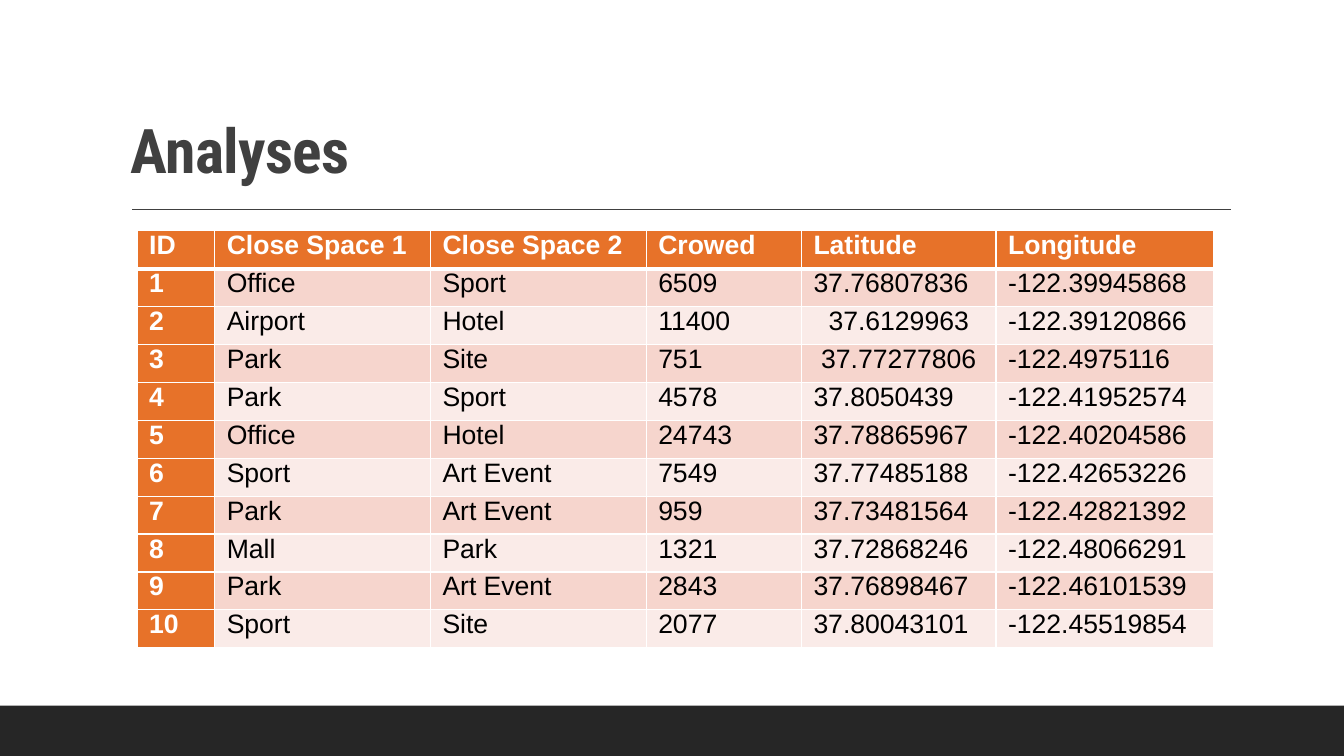
from lxml import etree
from pptx import Presentation
from pptx.dml.color import RGBColor
from pptx.enum.shapes import MSO_CONNECTOR, MSO_SHAPE
from pptx.enum.text import MSO_ANCHOR, PP_ALIGN
from pptx.oxml.ns import qn
from pptx.util import Inches, Pt

STRAIGHT = MSO_CONNECTOR.STRAIGHT
RECTANGLE = MSO_SHAPE.RECTANGLE
BOTTOM = MSO_ANCHOR.BOTTOM
LEFT, CENTER, JUSTIFY = PP_ALIGN.LEFT, PP_ALIGN.CENTER, PP_ALIGN.JUSTIFY

COLORS = {
    "white": "FFFFFF",
    "title": "404040",
    "footer": "262626",
    "accent": "E77229",
    "odd_row": "F6D5CD",
    "even_row": "FAEBE8",
    "body": "000000",
}
SLIDE_WIDTH, SLIDE_HEIGHT = 13.33, 7.5
COLUMN_WIDTHS = [0.77, 2.14, 2.14, 1.54, 1.93, 2.16]
CENTERED_LATITUDES = {"37.6129963", "37.77277806"}
ROWS = [
    ["ID", "Close Space 1", "Close Space 2", "Crowed", "Latitude", "Longitude"],
    ["1", "Office", "Sport", "6509", "37.76807836", "-122.39945868"],
    ["2", "Airport", "Hotel", "11400", "37.6129963", "-122.39120866"],
    ["3", "Park", "Site", "751", "37.77277806", "-122.4975116"],
    ["4", "Park", "Sport", "4578", "37.8050439", "-122.41952574"],
    ["5", "Office", "Hotel", "24743", "37.78865967", "-122.40204586"],
    ["6", "Sport", "Art Event", "7549", "37.77485188", "-122.42653226"],
    ["7", "Park", "Art Event", "959", "37.73481564", "-122.42821392"],
    ["8", "Mall", "Park", "1321", "37.72868246", "-122.48066291"],
    ["9", "Park", "Art Event", "2843", "37.76898467", "-122.46101539"],
    ["10", "Sport", "Site", "2077", "37.80043101", "-122.45519854"],
]


def color(name):
    return RGBColor.from_string(COLORS[name])


def write_text(frame, text, *, font, size, fill, bold=False, align=LEFT,
               line_spacing=None, tracking=None):
    """Fill the first paragraph of a text frame; tracking is in points."""
    para = frame.paragraphs[0]
    para.alignment = align
    para.line_spacing = line_spacing
    span = para.add_run()
    span.text = text
    span.font.name = font
    span.font.size = Pt(size)
    span.font.bold = bold
    span.font.color.rgb = color(fill)
    if tracking is not None:
        span.font._element.set("spc", str(round(tracking * 100)))


def add_title(page, left, top, width, height):
    """Place the heading at the foot of its box, with a rule below it."""
    box = page.shapes.add_textbox(
        Inches(left), Inches(top), Inches(width), Inches(height))
    frame = box.text_frame
    frame.word_wrap = True
    frame.vertical_anchor = BOTTOM
    write_text(frame, "Analyses", font="Roboto Condensed", size=44, fill="title",
               bold=True, line_spacing=0.9, tracking=-0.5)

    rule_left, rule_top = left + 0.11, top + height + 0.18
    rule = page.shapes.add_connector(
        STRAIGHT, Inches(rule_left), Inches(rule_top),
        Inches(rule_left + 10.9), Inches(rule_top))
    rule.line.color.rgb = color("title")
    rule.line.width = Pt(1)
    etree.SubElement(rule._element.spPr, qn("a:effectLst"))


def add_footer(page, left, top, width, height):
    band = page.shapes.add_shape(
        RECTANGLE, Inches(left), Inches(top), Inches(width), Inches(height))
    band.shadow.inherit = False
    band.fill.solid()
    band.fill.fore_color.rgb = color("footer")
    band.line.fill.background()


def set_borders(cell, widths):
    """Draw white borders; widths maps a side (L, R, T, B) to points."""
    properties = cell._tc.get_or_add_tcPr()
    for side, width in widths.items():
        line = etree.SubElement(properties, qn(f"a:ln{side}"), w=str(Pt(width)))
        solid = etree.SubElement(line, qn("a:solidFill"))
        etree.SubElement(solid, qn("a:srgbClr"), val=COLORS["white"])


def format_cell(cell, text, row, column):
    is_heading = row == 0 or column == 0
    set_borders(cell, {"L": 1, "R": 1, "T": 3 if row == 1 else 1,
                       "B": 3 if row == 0 else 1})
    cell.fill.solid()
    band = "odd_row" if row % 2 else "even_row"
    cell.fill.fore_color.rgb = color("accent" if is_heading else band)
    cell.margin_left = cell.margin_right = Inches(0.12)
    cell.margin_top = cell.margin_bottom = Inches(0)
    write_text(cell.text_frame, text, font="Arial", size=19, bold=is_heading,
               fill="white" if is_heading else "body",
               align=CENTER if text in CENTERED_LATITUDES else JUSTIFY)


def add_places_table(page, left, top, width, height):
    table = page.shapes.add_table(
        len(ROWS), len(COLUMN_WIDTHS),
        Inches(left), Inches(top), Inches(width), Inches(height)).table
    table.horz_banding = False
    for column, column_width in zip(table.columns, COLUMN_WIDTHS):
        column.width = Inches(column_width)
    for row, texts in enumerate(ROWS):
        table.rows[row].height = Inches(height / len(ROWS))
        for column, text in enumerate(texts):
            format_cell(table.cell(row, column), text, row, column)


def main():
    deck = Presentation()
    deck.slide_width = Inches(SLIDE_WIDTH)
    deck.slide_height = Inches(SLIDE_HEIGHT)
    page = deck.slides.add_slide(deck.slide_layouts[6])
    page.background.fill.solid()
    page.background.fill.fore_color.rgb = color("white")
    add_title(page, 1.2, 0.31, 11, 1.59)
    add_footer(page, 0, 7, SLIDE_WIDTH, 0.5)
    add_places_table(page, 1.36, 2.29, sum(COLUMN_WIDTHS), 4.14)
    deck.save("out.pptx")


if __name__ == "__main__":
    main()
